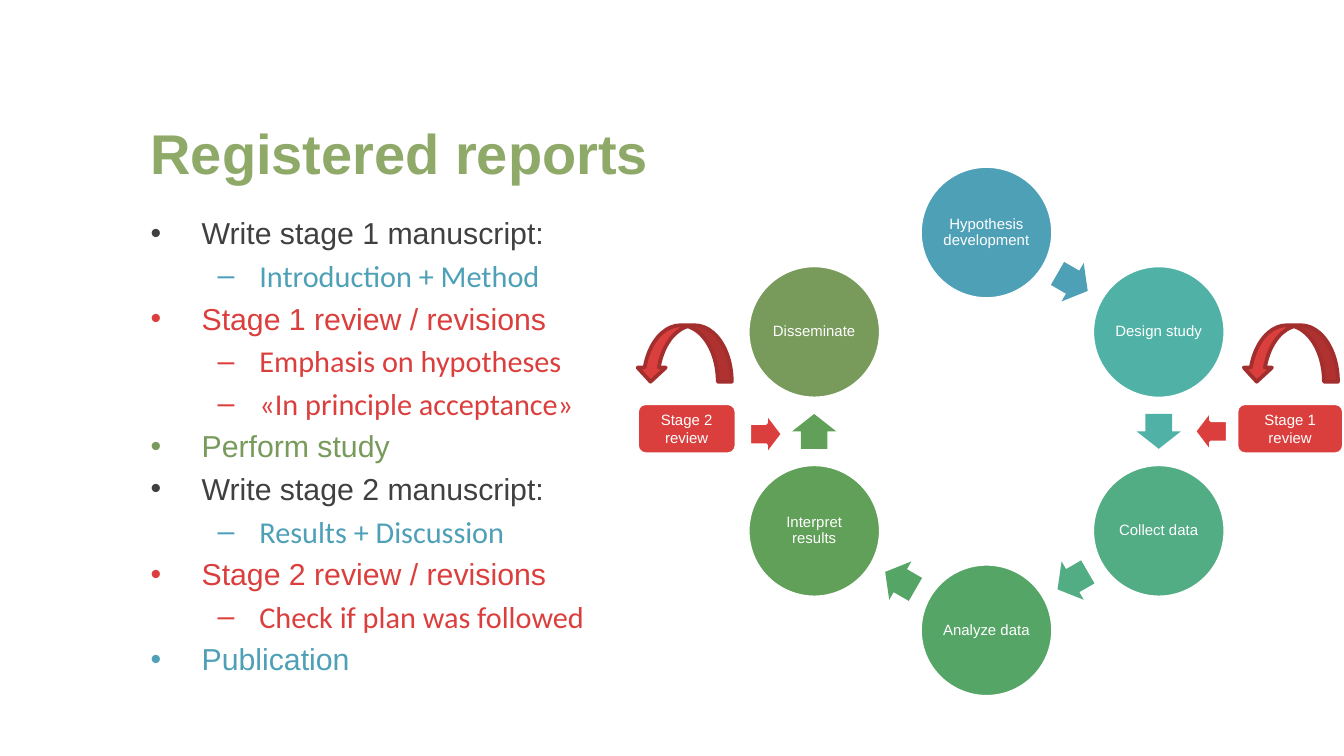
"""Build the registered reports slide: an outline beside a research cycle."""
import math
from lxml import etree
from pptx import Presentation
from pptx.dml.color import RGBColor
from pptx.enum import shapes, text
from pptx.oxml import ns
from pptx.util import Inches, Pt

WHITE = RGBColor(0xFF, 0xFF, 0xFF)
DARK = RGBColor(0x40, 0x40, 0x40)
TITLE_GREEN = RGBColor(0x8F, 0xA9, 0x68)
RED = RGBColor(0xDB, 0x3F, 0x3D)
DARK_RED = RGBColor(0xA2, 0x2F, 0x2D)
BLUE = RGBColor(0x4E, 0xA0, 0xB7)
TEAL = RGBColor(0x50, 0xB2, 0xA6)
SEA = RGBColor(0x52, 0xAD, 0x84)
EMERALD = RGBColor(0x55, 0xA6, 0x66)
LEAF = RGBColor(0x61, 0xA0, 0x58)
OLIVE = RGBColor(0x78, 0x9A, 0x5B)

TITLE = "Registered reports"
OUTLINE = [
    (0, "Write stage 1 manuscript:", DARK),
    (1, "Introduction + Method", BLUE),
    (0, "Stage 1 review / revisions", RED),
    (1, "Emphasis on hypotheses", RED),
    (1, "«In principle acceptance»", RED),
    (0, "Perform study", OLIVE),
    (0, "Write stage 2 manuscript:", DARK),
    (1, "Results + Discussion", BLUE),
    (0, "Stage 2 review / revisions", RED),
    (1, "Check if plan was followed", RED),
    (0, "Publication", BLUE),
]
LEVELS = [("•", 0.38, -0.38, "Arial"), ("–", 0.81, -0.31, "Calibri")]
STEPS = [
    ("Hypothesis development", BLUE),
    ("Design study", TEAL),
    ("Collect data", SEA),
    ("Analyze data", EMERALD),
    ("Interpret results", LEAF),
    ("Disseminate", OLIVE),
]
REVIEWS = [
    {"label": "Stage 2 review", "box": (5.11, 3.19, 0.74, 0.38),
     "pointer": (5.7, 3.23), "turn": 270, "loop": (5.09, 2.63)},
    {"label": "Stage 1 review", "box": (9.6, 3.19, 0.8, 0.38),
     "pointer": (9.01, 3.21), "turn": 90, "loop": (9.6, 2.63)},
]
CYCLE_X, CYCLE_Y, CYCLE_RADIUS, CIRCLE = 7.34, 3.21, 1.48, 0.99


def style(target, formats):
    for name, value in formats.items():
        setattr(target, name, value)


def add_text_area(slide, left, top, width, height, anchor):
    frame = slide.shapes.add_textbox(*map(Inches, (left, top, width, height))).text_frame
    style(frame, {"word_wrap": True, "vertical_anchor": anchor, "margin_left": 0,
                  "margin_right": 0, "margin_top": 0, "margin_bottom": 0})
    return frame


def write(paragraph, words, size, font, color, bold=False):
    paragraph.add_run().text = words
    style(paragraph.font, {"size": Pt(size), "name": font, "bold": bold})
    paragraph.font.color.rgb = color


def add_figure(slide, kind, x, y, width, height, fill, line=None, rotation=0):
    figure = slide.shapes.add_shape(
        kind, *map(Inches, (x - width / 2, y - height / 2, width, height)))
    figure.shadow.inherit = False
    figure.rotation = rotation
    figure.fill.solid()
    figure.fill.fore_color.rgb = fill
    if line is None:
        figure.line.fill.background()
    else:
        figure.line.color.rgb = line
        figure.line.width = Pt(2)
    return figure


def label(figure, words, spacing=1.0, margin=None):
    frame = figure.text_frame
    style(frame, {"word_wrap": True, "vertical_anchor": text.MSO_ANCHOR.MIDDLE})
    if margin is not None:
        style(frame, {f"margin_{side}": Inches(margin)
                      for side in ("left", "right", "top", "bottom")})
    paragraph = frame.paragraphs[0]
    style(paragraph, {"alignment": text.PP_ALIGN.CENTER, "line_spacing": spacing})
    write(paragraph, words, 8, "Arial", WHITE)


def add_outline(slide):
    frame = add_text_area(slide, 1.12, 1.59, 3.52, 3.7, text.MSO_ANCHOR.TOP)
    for index, (level, words, color) in enumerate(OUTLINE):
        paragraph = frame.add_paragraph() if index else frame.paragraphs[0]
        bullet, indent, hanging, font = LEVELS[level]
        style(paragraph, {"level": level, "line_spacing": Pt(20),
                          "space_before": Pt(2.8 if index else 0)})
        properties = paragraph._p.get_or_add_pPr()
        properties.set("marL", str(Inches(indent)))
        properties.set("indent", str(Inches(hanging)))
        etree.SubElement(properties, ns.qn("a:buFont"), typeface="Arial")
        etree.SubElement(properties, ns.qn("a:buChar"), char=bullet)
        write(paragraph, words, 16.2, font, color)


def add_cycle(slide):
    kinds = shapes.MSO_SHAPE
    for index, (words, color) in enumerate(STEPS):
        angle = math.radians(60 * index - 90)
        circle = add_figure(slide, kinds.OVAL, CYCLE_X + CYCLE_RADIUS * math.cos(angle),
                            CYCLE_Y + CYCLE_RADIUS * math.sin(angle),
                            CIRCLE, CIRCLE, color, WHITE)
        label(circle, words, 0.9, 0.01)
        if index < len(STEPS) - 1:
            middle = angle + math.radians(30)
            reach = CYCLE_RADIUS * math.cos(math.radians(30))
            arrow = add_figure(slide, kinds.RIGHT_ARROW, CYCLE_X + reach * math.cos(middle),
                               CYCLE_Y + reach * math.sin(middle), 0.26, 0.33, color,
                               rotation=30 + 60 * index)
            arrow.adjustments[0] = 0.6
            arrow.adjustments[1] = 0.5


def add_reviews(slide):
    kinds = shapes.MSO_SHAPE
    for review in REVIEWS:
        box = add_figure(slide, kinds.ROUNDED_RECTANGLE, *review["box"], RED, WHITE)
        label(box, review["label"])
        add_figure(slide, kinds.DOWN_ARROW, *review["pointer"], 0.33, 0.25, RED, WHITE,
                   review["turn"])
        add_figure(slide, kinds.CURVED_RIGHT_ARROW, *review["loop"], 0.42, 0.71, RED,
                   DARK_RED, 90)


def main():
    deck = Presentation()
    style(deck, {"slide_width": Inches(10), "slide_height": Inches(10) * 9 // 16})
    slide = deck.slides.add_slide(deck.slide_layouts[6])
    heading = add_text_area(slide, 1.12, 0.84, 7.82, 0.54, text.MSO_ANCHOR.BOTTOM).paragraphs[0]
    heading.line_spacing = Pt(36)
    write(heading, TITLE, 30, "Arial", TITLE_GREEN, True)
    add_cycle(slide)
    add_reviews(slide)
    add_outline(slide)
    deck.save("out.pptx")


if __name__ == "__main__":
    main()
